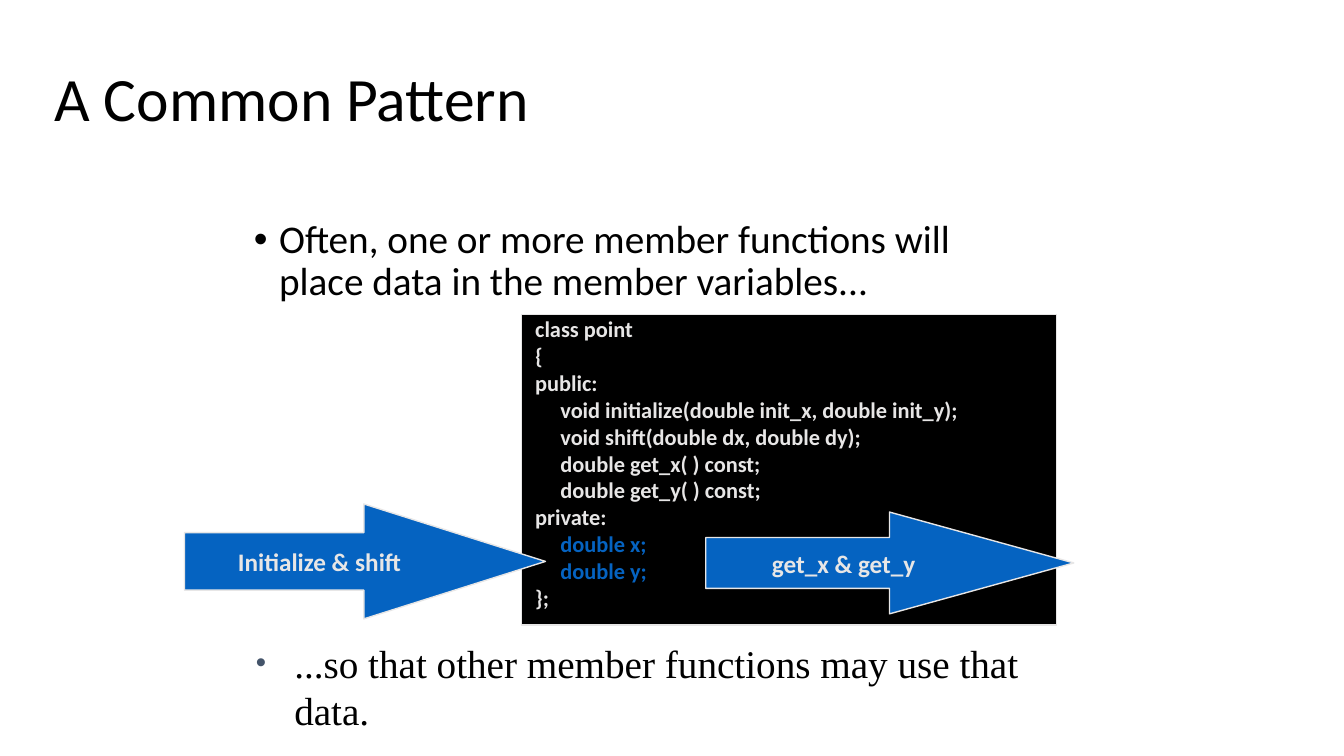
from pptx import Presentation
from pptx.dml.color import RGBColor
from pptx.enum.shapes import MSO_SHAPE
from pptx.enum.text import MSO_ANCHOR, MSO_AUTO_SIZE, PP_ALIGN
from pptx.oxml.ns import qn
from pptx.util import Emu, Pt
from lxml.etree import SubElement

COLORS = {"black": "000000", "light": "E7E6E6", "blue": "0563C1", "slate": "44546A"}
CODE = [
    ("class point", 0, "light"),
    ("{", 0, "light"),
    ("public:", 0, "light"),
    ("void initialize(double init_x, double init_y);", 25, "light"),
    ("void shift(double dx, double dy);", 25, "light"),
    ("double get_x( ) const;", 25, "light"),
    ("double get_y( ) const;", 25, "light"),
    ("private:", 0, "light"),
    ("double x;", 25, "blue"),
    ("double y;", 25, "blue"),
    ("};", 0, "light"),
]


def px(n):
    return Emu(n * 9144)


def rgb(name):
    return RGBColor.from_string(COLORS[name])


def apply(target, values):
    for name, value in values.items():
        setattr(target, name, value)


class Deck:
    """Builds styled elements on one slide, measured at 100 px to the inch."""

    def __init__(self):
        self.prs = Presentation()
        apply(self.prs, {"slide_width": px(1333), "slide_height": px(750)})
        self.s = self.prs.slides.add_slide(self.prs.slide_layouts[5])

    def add_text(self, p, text, size, color, font="Calibri", bold=False, **fmt):
        apply(p, fmt)
        r = p.add_run()
        r.text = text
        apply(r.font, {"size": Pt(size), "name": font, "bold": bold})
        r.font.color.rgb = rgb(color)

    def indent(self, p, left, hanging=0):
        pPr = p._p.get_or_add_pPr()
        pPr.set("marL", str(px(left)))
        pPr.set("indent", str(px(-hanging)))
        return pPr

    def title(self, box, text):
        sp = self.s.shapes.title
        apply(sp, dict(zip(("left", "top", "width", "height"), map(px, box))))
        tf = sp.text_frame
        apply(tf, {"vertical_anchor": MSO_ANCHOR.MIDDLE, "word_wrap": True,
                   "auto_size": MSO_AUTO_SIZE.NONE})
        self.add_text(tf.paragraphs[0], text, 44, "black",
                      alignment=PP_ALIGN.LEFT, line_spacing=0.9)

    def textbox(self, box):
        tf = self.s.shapes.add_textbox(*map(px, box)).text_frame
        tf.word_wrap = True
        return tf

    def bullet(self, box, text, hanging, color="black", scale=100, font="Calibri", **fmt):
        p = self.textbox(box).paragraphs[0]
        self.add_text(p, text, 28, "black", font, **fmt)
        pPr = self.indent(p, hanging, hanging)
        SubElement(SubElement(pPr, qn("a:buClr")), qn("a:srgbClr"), val=COLORS[color])
        SubElement(pPr, qn("a:buSzPct"), val=str(scale * 1000))
        SubElement(pPr, qn("a:buFont"), typeface="Arial")
        SubElement(pPr, qn("a:buChar"), char="•")

    def code(self, box, lines):
        tf = self.textbox(box)
        for i, (text, left, color) in enumerate(lines):
            p = tf.add_paragraph() if i else tf.paragraphs[0]
            self.indent(p, left)
            self.add_text(p, text, 16, color, bold=True)

    def shape(self, kind, box, fill):
        sp = self.s.shapes.add_shape(kind, *map(px, box))
        sp.shadow.inherit = False
        sp.fill.solid()
        sp.fill.fore_color.rgb = rgb(fill)
        sp.line.color.rgb = rgb("light")
        sp.line.width = Pt(1)
        return sp

    def arrow(self, box, head, text):
        sp = self.shape(MSO_SHAPE.RIGHT_ARROW, box, "blue")
        sp.adjustments[0] = 0.5
        sp.adjustments[1] = head
        tf = sp.text_frame
        apply(tf, {"word_wrap": False, "vertical_anchor": MSO_ANCHOR.MIDDLE})
        self.add_text(tf.paragraphs[0], text, 18, "light", bold=True,
                      alignment=PP_ALIGN.CENTER)


def main():
    deck = Deck()
    deck.title((44, 38, 1133, 125), "A Common Pattern")
    deck.shape(MSO_SHAPE.RECTANGLE, (517, 312, 531, 308), "black")
    deck.code((521, 308, 522, 304), CODE)
    deck.bullet((242, 213, 788, 132),
                "Often, one or more member functions will place data in the member variables...",
                25, line_spacing=0.9, space_before=Pt(10))
    deck.bullet((244, 629, 788, 94),
                "...so that other member functions may use that data.",
                38, "slate", 75, "Times New Roman", space_before=Pt(6))
    deck.arrow((183, 500, 358, 114), 1.58, "Initialize & shift")
    deck.arrow((700, 508, 365, 101), 1.81, "get_x & get_y")
    deck.prs.save("out.pptx")


if __name__ == "__main__":
    main()
